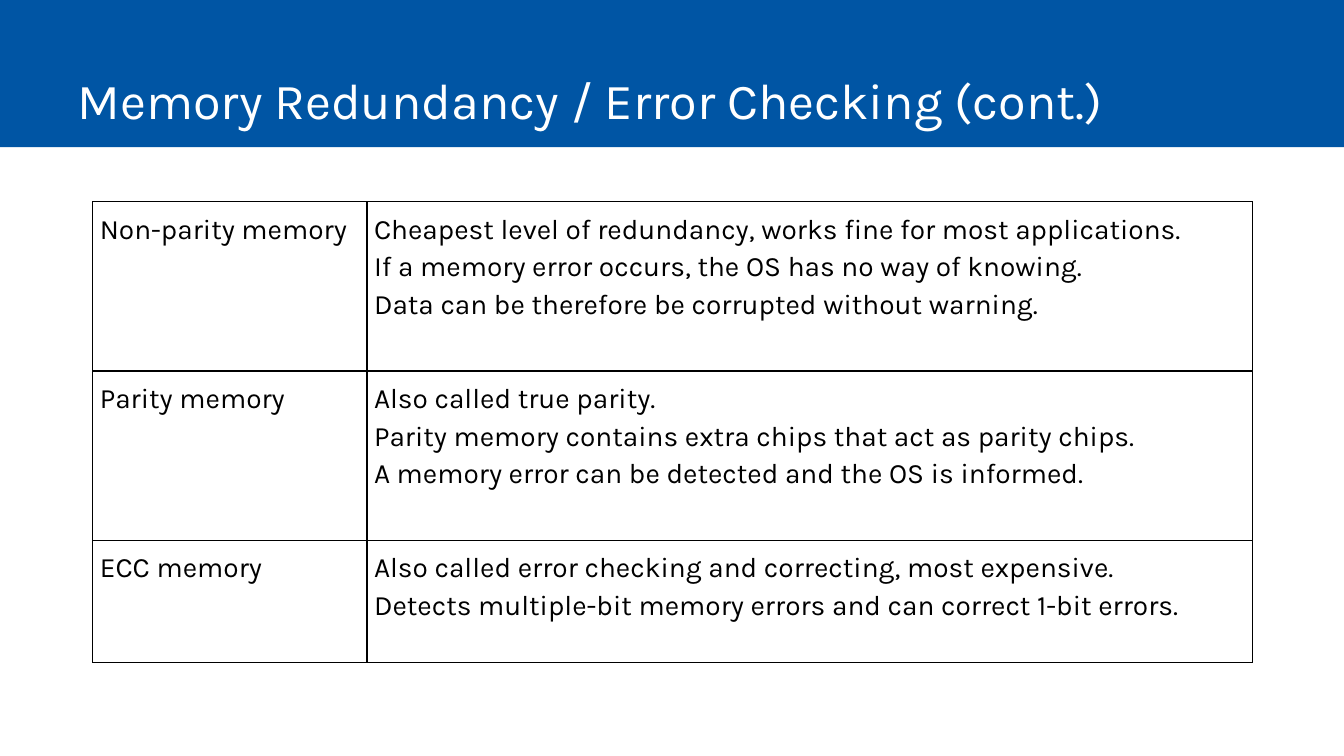
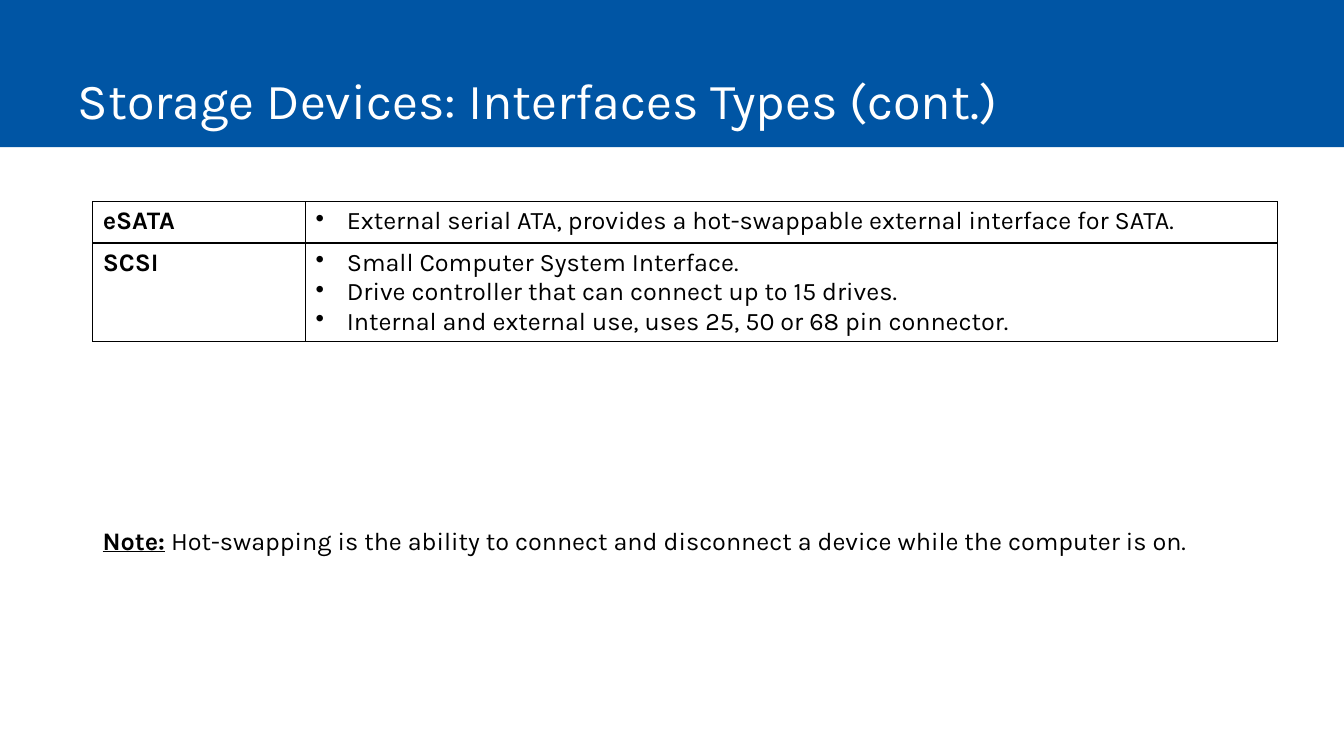
from lxml import etree
from pptx import Presentation
from pptx.dml.color import RGBColor
from pptx.enum.shapes import MSO_SHAPE
from pptx.enum.text import MSO_ANCHOR, MSO_AUTO_SIZE, PP_ALIGN
from pptx.oxml.ns import qn
from pptx.util import Pt

RECTANGLE = MSO_SHAPE.RECTANGLE
BOTTOM = MSO_ANCHOR.BOTTOM
LEFT = PP_ALIGN.LEFT
NO_AUTOFIT = MSO_AUTO_SIZE.NONE

EMU_PER_PX = 9144  # 100 px to the inch
BLUE = RGBColor(0x00, 0x55, 0xA4)
WHITE = RGBColor(0xFF, 0xFF, 0xFF)
BLACK = RGBColor(0x00, 0x00, 0x00)
FONT = "Karla"
TITLE_ONLY = 5

PAGE_SIZE = (1333, 750)
BAND_HEIGHT = 146
TITLE_BOX = (67, 0, 1175, 134)
TABLE_LEFT, TABLE_TOP = 92, 200
BULLET_INDENT = 31

# Text styles
TITLE_FONT = {"name": FONT, "size": Pt(36)}
LARGE_FONT = {"name": FONT, "size": Pt(20)}
BODY_FONT = {"name": FONT, "size": Pt(18)}
BOLD_FONT = {**BODY_FONT, "bold": True}
NOTE_FONT = {**BOLD_FONT, "underline": True}

# Table content: one (label, lines) pair a row
MEMORY_ROWS = [
    ("Non-parity memory", [
        "Cheapest level of redundancy, works fine for most applications.",
        "If a memory error occurs, the OS has no way of knowing.",
        "Data can be therefore be corrupted without warning.",
    ]),
    ("Parity memory", [
        "Also called true parity.",
        "Parity memory contains extra chips that act as parity chips.",
        "A memory error can be detected and the OS is informed.",
    ]),
    ("ECC memory", [
        "Also called error checking and correcting, most expensive.",
        "Detects multiple-bit memory errors and can correct 1-bit errors.",
    ]),
]
INTERFACE_ROWS = [
    ("eSATA", [
        "External serial ATA, provides a hot-swappable external interface for SATA.",
    ]),
    ("SCSI", [
        "Small Computer System Interface.",
        "Drive controller that can connect up to 15 drives.",
        "Internal and external use, uses 25, 50 or 68 pin connector.",
    ]),
]


def px(*lengths):
    return [length * EMU_PER_PX for length in lengths]


def set_attributes(target, values):
    for name, value in values.items():
        setattr(target, name, value)


def place(shape, box):
    set_attributes(shape, dict(zip(("left", "top", "width", "height"), px(*box))))


def add_span(para, text, style, color=BLACK):
    span = para.add_run()
    span.text = text
    set_attributes(span.font, style)
    span.font.color.rgb = color


def add_bullet(para):
    indent, = px(BULLET_INDENT)
    properties = para._p.get_or_add_pPr()
    properties.set("marL", str(indent))
    properties.set("indent", str(-indent))
    color = etree.SubElement(properties, qn("a:buClr"))
    etree.SubElement(color, qn("a:srgbClr"), val=str(BLACK))
    etree.SubElement(properties, qn("a:buChar"), char="•")


def add_borders(cell):
    properties = cell._tc.get_or_add_tcPr()
    for side in ("lnL", "lnR", "lnT", "lnB"):
        line = etree.SubElement(properties, qn(f"a:{side}"), w=str(Pt(1)))
        fill = etree.SubElement(line, qn("a:solidFill"))
        etree.SubElement(fill, qn("a:srgbClr"), val=str(BLACK))


def fill_cell(cell, lines, style, bullets=False, spacing=None, margin=None):
    add_borders(cell)
    cell.fill.background()
    if margin is not None:
        inset, = px(margin)
        sides = ("left", "right", "top", "bottom")
        set_attributes(cell, {f"margin_{side}": inset for side in sides})
    frame = cell.text_frame
    for index, line in enumerate(lines):
        para = frame.add_paragraph() if index else frame.paragraphs[0]
        if bullets:
            add_bullet(para)
        if spacing:
            para.line_spacing = spacing
        add_span(para, line, style)


def add_grid(page, rows, widths, heights, label_style, line_style,
             bullets=False, **cell_format):
    frame = page.shapes.add_table(
        len(rows), len(widths),
        *px(TABLE_LEFT, TABLE_TOP, sum(widths), sum(heights)))
    table = frame.table
    set_attributes(table, {"first_row": False, "horz_banding": False})
    for column, width in zip(table.columns, px(*widths)):
        column.width = width
    for row, height, (label, lines) in zip(table.rows, px(*heights), rows):
        row.height = height
        label_cell, lines_cell = row.cells
        fill_cell(label_cell, [label], label_style, **cell_format)
        fill_cell(lines_cell, lines, line_style, bullets, **cell_format)


def add_note(page, box, lead, text):
    frame = page.shapes.add_textbox(*px(*box)).text_frame
    frame.word_wrap = True
    para = frame.paragraphs[0]
    add_span(para, lead, NOTE_FONT)
    add_span(para, text, BODY_FONT)


def style_layout(layout, page):
    """Put the blue band and the title position on the shared layout."""
    band = page.shapes.add_shape(RECTANGLE, *px(0, 0, PAGE_SIZE[0], BAND_HEIGHT))
    band.shadow.inherit = False
    band.fill.solid()
    band.fill.fore_color.rgb = BLUE
    band.line.fill.background()
    layout.shapes.element.insert(2, band.element)
    place(layout.placeholders[0], TITLE_BOX)


def set_title(page, text):
    frame = page.shapes.title.text_frame
    set_attributes(frame, {"vertical_anchor": BOTTOM, "auto_size": NO_AUTOFIT})
    para = frame.paragraphs[0]
    para.alignment = LEFT
    add_span(para, text, TITLE_FONT, WHITE)


def main():
    deck = Presentation()
    deck.slide_width, deck.slide_height = px(*PAGE_SIZE)
    layout = deck.slide_layouts[TITLE_ONLY]
    memory_page, storage_page = [deck.slides.add_slide(layout) for _ in range(2)]
    style_layout(layout, memory_page)

    # Memory redundancy
    set_title(memory_page, "Memory Redundancy / Error Checking (cont.)")
    add_grid(memory_page, MEMORY_ROWS, (272, 878), (168, 168, 121),
             LARGE_FONT, LARGE_FONT, spacing=1.15, margin=7)

    # Storage interfaces
    set_title(storage_page, "Storage Devices: Interfaces Types (cont.)")
    add_grid(storage_page, INTERFACE_ROWS, (211, 964), (41, 41),
             BOLD_FONT, BODY_FONT, bullets=True)
    add_note(storage_page, (92, 516, 1140, 71), "Note:",
             " Hot-swapping is the ability to connect and disconnect a device"
             " while the computer is on.")

    deck.save("out.pptx")


if __name__ == "__main__":
    main()
